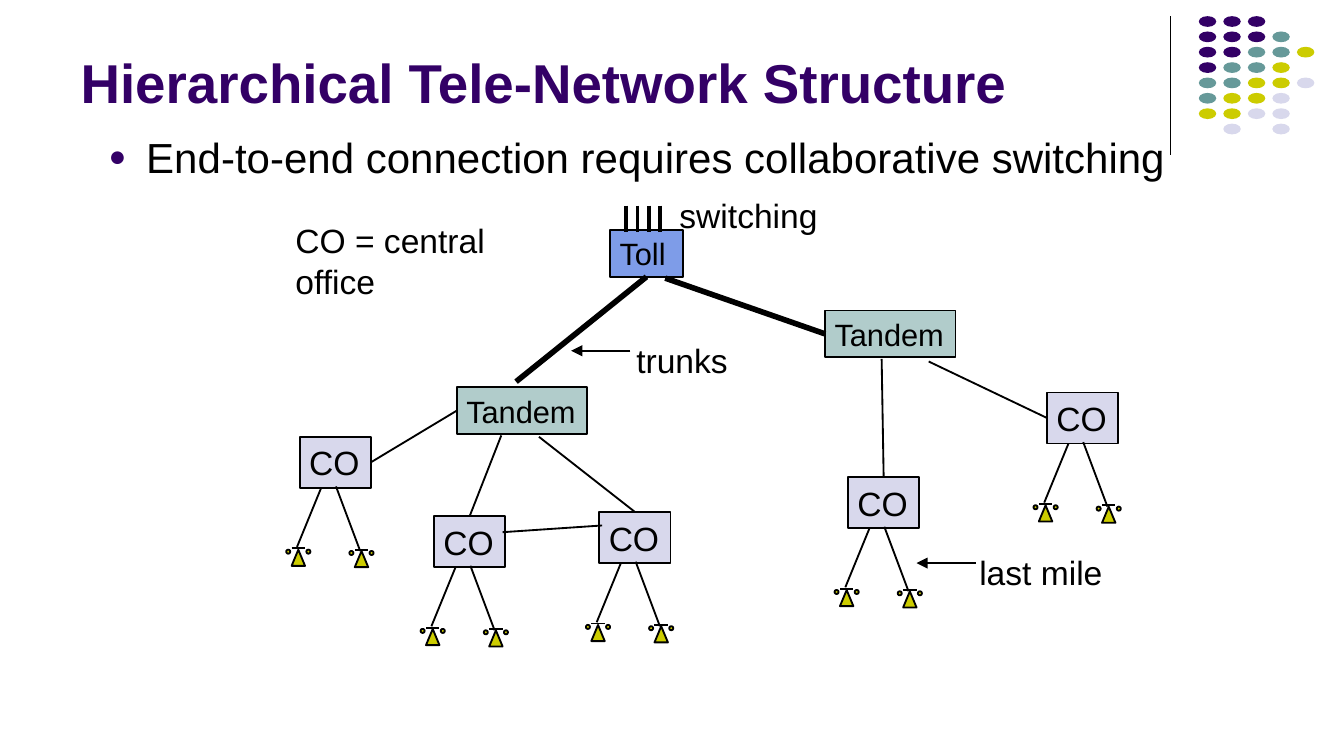
import dataclasses

import lxml.etree
import pptx
import pptx.dml.color
import pptx.enum.shapes
import pptx.enum.text
import pptx.oxml.ns
import pptx.util

Inches = pptx.util.Inches
Shape = pptx.enum.shapes.MSO_SHAPE
Align = pptx.enum.text.PP_ALIGN
Anchor = pptx.enum.text.MSO_ANCHOR
qn = pptx.oxml.ns.qn
TOP, LEFT, BOTTOM, RIGHT = range(4)


@dataclasses.dataclass(frozen=True)
class Theme:
    font: str = "Arial"
    ink: str = "000000"
    purple: str = "330066"
    teal: str = "669999"
    yellow: str = "CCCC00"
    lavender: str = "D8D8EC"
    toll: str = "7E9CE8"
    tandem: str = "B1CCCB"
    title_size: float = 29.25
    bullet_size: float = 22.5
    label_size: float = 18
    switch_size: float = 16.5
    hairline: float = 0.75
    thin: float = 1
    port: float = 2
    trunk: float = 3


def rgb(color):
    return pptx.dml.color.RGBColor.from_string(color)


def write_text(frame, text, *, font, size, color, bold=False, align=Align.LEFT,
               anchor=Anchor.TOP, wrap=True, insets=(0.1, 0.05)):
    frame.word_wrap = wrap
    frame.auto_size = pptx.enum.text.MSO_AUTO_SIZE.NONE
    frame.vertical_anchor = anchor
    frame.margin_left = frame.margin_right = Inches(insets[0])
    frame.margin_top = frame.margin_bottom = Inches(insets[1])
    paragraph = frame.paragraphs[0]
    paragraph.alignment = align
    run = paragraph.add_run()
    run.text = text
    run.font.name = font
    run.font.size = pptx.util.Pt(size)
    run.font.bold = bold
    run.font.color.rgb = rgb(color)
    return paragraph


class Diagram:
    def __init__(self, slide, theme):
        self.slide = slide
        self.theme = theme

    def title(self, text, box):
        heading = self.slide.shapes.title
        heading.left, heading.top, heading.width, heading.height = map(Inches, box)
        write_text(heading.text_frame, text, font=self.theme.font, size=self.theme.title_size,
                   color=self.theme.purple, bold=True, anchor=Anchor.BOTTOM)

    def label(self, text, box, size=None, **style):
        caption = self.slide.shapes.add_textbox(*map(Inches, box))
        return write_text(caption.text_frame, text, font=self.theme.font,
                          size=size or self.theme.label_size, color=self.theme.ink, **style)

    def bullet(self, text, box):
        properties = self.label(text, box, self.theme.bullet_size)._p.get_or_add_pPr()
        properties.set("marL", str(Inches(0.28)))
        properties.set("indent", str(Inches(-0.28)))
        bullet_color = lxml.etree.SubElement(properties, qn("a:buClr"))
        lxml.etree.SubElement(bullet_color, qn("a:srgbClr"), val=self.theme.purple)
        lxml.etree.SubElement(properties, qn("a:buSzPct"), val="70000")
        lxml.etree.SubElement(properties, qn("a:buFont"), typeface=self.theme.font)
        lxml.etree.SubElement(properties, qn("a:buChar"), char="●")

    def block(self, kind, box, fill, outlined=True):
        block = self.slide.shapes.add_shape(kind, *map(Inches, box))
        block.shadow.inherit = False
        block.fill.solid()
        block.fill.fore_color.rgb = rgb(fill)
        if outlined:
            block.line.color.rgb = rgb(self.theme.ink)
            block.line.width = pptx.util.Pt(self.theme.thin)
        else:
            block.line.fill.background()
        return block

    def node(self, text, box, fill, size, wrap=False):
        node = self.block(Shape.RECTANGLE, box, fill)
        write_text(node.text_frame, text, font=self.theme.font, size=size,
                   color=self.theme.ink, wrap=wrap, insets=(0.07, 0.04))
        return node

    def line(self, start, end, width=None, begin_at=None, end_at=None, arrow=False):
        line = self.slide.shapes.add_connector(
            pptx.enum.shapes.MSO_CONNECTOR.STRAIGHT, *map(Inches, (*start, *end)))
        line.line.color.rgb = rgb(self.theme.ink)
        line.line.width = pptx.util.Pt(width or self.theme.thin)
        if arrow:
            lxml.etree.SubElement(line.line._get_or_add_ln(), qn("a:tailEnd"), type="triangle")
        lxml.etree.SubElement(line._element.spPr, qn("a:effectLst"))
        if begin_at:
            line.begin_connect(*begin_at)
        if end_at:
            line.end_connect(*end_at)

    def phone(self, x, y):
        self.block(Shape.ISOSCELES_TRIANGLE, (x, y, 0.1, 0.12), self.theme.yellow)
        self.line((x, y - 0.01), (x + 0.1, y - 0.01))
        for earpiece in (x + 0.11, x - 0.04):
            self.block(Shape.OVAL, (earpiece, y, 0.03, 0.03), self.theme.yellow)

    def central_office(self, x, y):
        office = self.node("CO", (x, y, 0.53, 0.38), self.theme.lavender, self.theme.label_size)
        self.phone(x + 0.41, y + 0.85)
        self.phone(x - 0.06, y + 0.84)
        self.line((x + 0.16, y + 0.38), (x - 0.02, y + 0.82))
        self.line((x + 0.27, y + 0.37), (x + 0.45, y + 0.85))
        return office

    def tandem(self, x, y):
        return self.node("Tandem", (x, y, 0.97, 0.35), self.theme.tandem, self.theme.switch_size)

    def dot_pattern(self, rows):
        colors = {"P": self.theme.purple, "T": self.theme.teal,
                  "Y": self.theme.yellow, "L": self.theme.lavender}
        for row, letters in enumerate(rows):
            for column, letter in enumerate(letters):
                if letter in colors:
                    dot = (8.92 + 0.73 * column / 4, 0.12 + 0.8 * row / 7, 0.13, 0.08)
                    self.block(Shape.OVAL, dot, colors[letter], outlined=False)


def main():
    theme = Theme()
    deck = pptx.Presentation()
    deck.slide_width = Inches(10)
    deck.slide_height = deck.slide_width * 9 // 16
    diagram = Diagram(deck.slides.add_slide(deck.slide_layouts[5]), theme)

    diagram.line((8.71, 0.12), (8.71, 1.15), theme.hairline)
    diagram.dot_pattern(("PPP", "PPPT", "PPTTY", "PTTY", "TTYYL", "TYYL", "YYLL", "-L-L"))
    diagram.title("Hierarchical Tele-Network Structure", (0.5, 0.06, 8.25, 0.84))
    diagram.bullet("End-to-end connection requires collaborative switching",
                   (0.71, 0.93, 8.14, 0.58))

    toll = diagram.node("Toll", (4.54, 1.71, 0.54, 0.35), theme.toll,
                        theme.switch_size, wrap=True)
    west_tandem = diagram.tandem(3.4, 2.88)
    east_tandem = diagram.tandem(6.14, 2.31)
    outer_west, inner_west, mid_west, mid_east, outer_east = (
        diagram.central_office(x, y)
        for x, y in ((2.23, 3.25), (3.23, 3.84), (4.46, 3.81), (6.31, 3.55), (7.79, 2.92)))

    diagram.line((4.81, 2.06), (3.84, 2.84), theme.trunk, begin_at=(toll, BOTTOM))
    diagram.line((4.95, 2.07), (6.14, 2.49), theme.trunk, end_at=(east_tandem, LEFT))
    diagram.line((3.4, 3.05), (2.76, 3.44), begin_at=(west_tandem, LEFT),
                 end_at=(outer_west, RIGHT))
    diagram.line((3.73, 3.24), (3.5, 3.84), end_at=(inner_west, TOP))
    diagram.line((4.01, 3.25), (4.72, 3.81), end_at=(mid_west, TOP))
    diagram.line((6.56, 2.67), (6.57, 3.55), end_at=(mid_east, TOP))
    diagram.line((6.91, 2.69), (7.79, 3.11), end_at=(outer_east, LEFT))
    diagram.line((3.74, 3.96), (4.48, 3.91))

    diagram.label("CO = central office", (2.1, 1.59, 1.83, 0.71))
    for text, box in (("last mile", (7.18, 4.06, 1.13, 0.4)),
                      ("trunks", (4.63, 2.48, 0.89, 0.4)),
                      ("switching", (4.95, 1.4, 1.24, 0.4))):
        diagram.label(text, box, align=Align.CENTER, wrap=False)
    for x, y in ((7.26, 4.19), (4.69, 2.61)):
        diagram.line((x, y), (x - 0.44, y), arrow=True)
    for port in range(4):
        x = 4.66 + 0.25 * port / 3
        diagram.line((x, 1.53), (x, 1.73), theme.port)

    deck.save("out.pptx")


if __name__ == "__main__":
    main()
